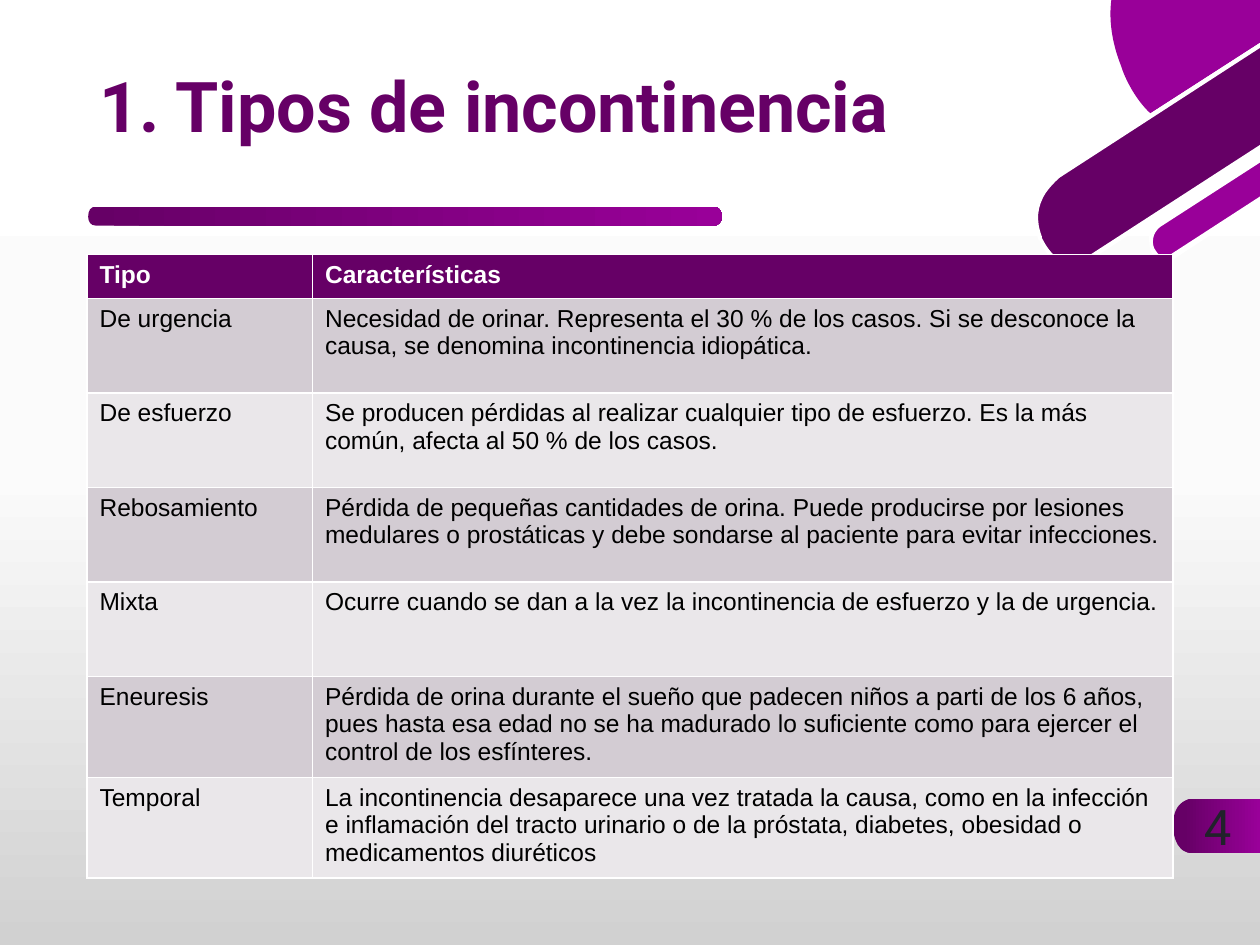
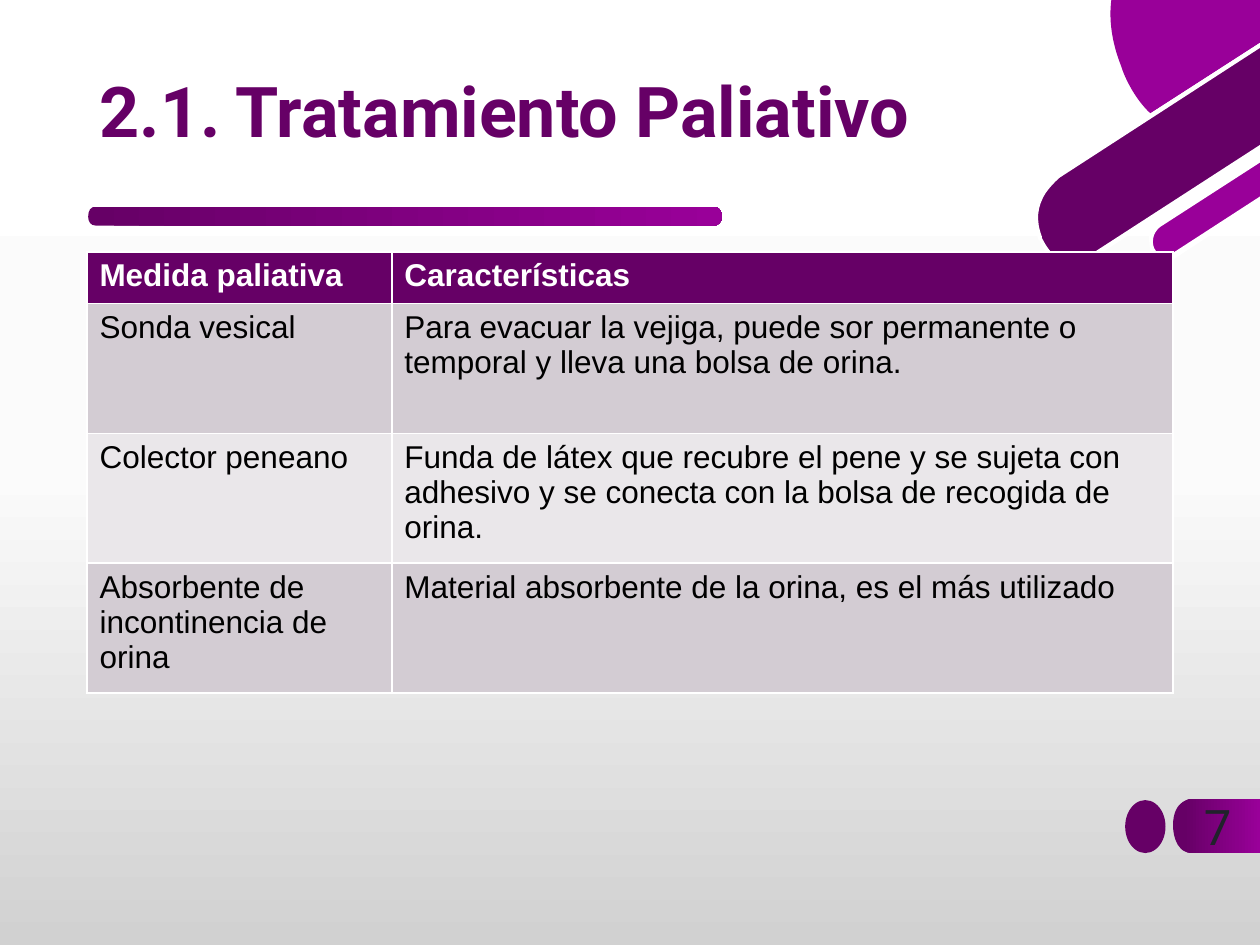
from copy import deepcopy

from lxml.etree import SubElement
from pptx import Presentation
from pptx.dml.color import RGBColor
from pptx.enum.shapes import MSO_SHAPE as SHAPE
from pptx.enum.text import MSO_ANCHOR, MSO_AUTO_SIZE, PP_ALIGN
from pptx.oxml.ns import qn
from pptx.util import Inches, Pt

COLORS = {
    "purple": "660066", "magenta": "990099", "white": "FFFFFF", "black": "000000",
    "number": "21222B", "odd": "D3CCD3", "even": "EAE7EA",
}
BACKGROUND = [(0, "FFFFFF"), (0.5, "FBFBFB"), (1, "D1D1D1")]
TITLE_FONT, TABLE_FONT = "Roboto", "Arial"
LEFT = 0.69

SLIDES = [
    {
        "title": "1. Tipos de incontinencia", "title_top": 0.36, "number": "4",
        "top": 2.02, "size": 14, "cols": [1.79, 6.83], "heights": [0.35] + [0.75] * 4 + [0.8] * 2,
        "rows": [
            ("Tipo", "Características"),
            ("De urgencia", "Necesidad de orinar. Representa el 30 % de los casos. Si se desconoce la causa, se denomina incontinencia idiopática."),
            ("De esfuerzo", "Se producen pérdidas al realizar cualquier tipo de esfuerzo. Es la más común, afecta al 50 % de los casos."),
            ("Rebosamiento", "Pérdida de pequeñas cantidades de orina. Puede producirse por lesiones medulares o prostáticas y debe sondarse al paciente para evitar infecciones."),
            ("Mixta", "Ocurre cuando se dan a la vez la incontinencia de esfuerzo y la de urgencia."),
            ("Eneuresis", "Pérdida de orina durante el sueño que padecen niños a parti de los 6 años, pues hasta esa edad no se ha madurado lo suficiente como para ejercer el control de los esfínteres."),
            ("Temporal", "La incontinencia desaparece una vez tratada la causa, como en la infección e inflamación del tracto urinario o de la próstata, diabetes, obesidad o medicamentos diuréticos"),
        ],
    },
    {
        "title": "2.1. Tratamiento Paliativo", "title_top": 0.4, "number": "7",
        "top": 2, "size": 18, "cols": [2.42, 6.2], "heights": [0.41] + [1.03] * 3,
        "rows": [
            ("Medida paliativa", "Características"),
            ("Sonda vesical", "Para evacuar la vejiga, puede sor permanente o temporal y lleva una bolsa de orina."),
            ("Colector peneano", "Funda de látex que recubre el pene y se sujeta con adhesivo y se conecta con la bolsa de recogida de orina."),
            ("Absorbente de incontinencia de orina", "Material absorbente de la orina, es el más utilizado"),
        ],
    },
]

PAGE_TAB = [(9.46, 6.77), (10, 6.77), (10, 6.34), (9.46, 6.34),
            (9.46, 6.34, 9.31, 6.34, 9.31, 6.55), (9.31, 6.56),
            (9.31, 6.56, 9.31, 6.77, 9.46, 6.77)]

TITLE_BAR = [(5.67, 1.79), (0.76, 1.79), (0.72, 1.79, 0.7, 1.76, 0.7, 1.72),
             (0.7, 1.67, 0.72, 1.64, 0.76, 1.64), (5.67, 1.64),
             (5.7, 1.64, 5.73, 1.67, 5.73, 1.72), (5.73, 1.76, 5.7, 1.79, 5.67, 1.79)]

CORNER = [
    ("white", [(9.99, 0.81), (9.79, 0.94), (9.55, 1.1, 9.33, 1.08, 9.14, 0.89),
               (9, 0.74, 8.92, 0.55, 8.92, 0.55), (8.91, 0.52), (8.84, 0.34, 8.81, 0.16, 8.83, 0),
               (8.8, 0), (8.79, 0.17, 8.81, 0.35, 8.88, 0.54), (8.89, 0.57),
               (8.9, 0.58, 8.97, 0.77, 9.12, 0.92), (9.21, 1.01, 9.33, 1.09, 9.48, 1.09),
               (9.58, 1.09, 9.69, 1.06, 9.81, 0.98), (9.99, 0.86)]),
    ("purple", [(8.41, 1.39), (8.41, 1.39, 8.13, 1.57, 8.26, 1.89), (8.26, 1.9),
                (8.26, 1.9, 8.38, 2.22, 8.65, 2.04), (10, 1.17), (10, 0.36)]),
    ("magenta", [(8.91, 0.56), (8.91, 0.56, 8.98, 0.76, 9.13, 0.9), (10, 0.34), (10, 0), (8.82, 0),
                 (8.8, 0.15, 8.82, 0.33, 8.9, 0.53)]),
    ("magenta", [(10, 1.26), (9.2, 1.78), (9.2, 1.78, 9.1, 1.85, 9.15, 1.97), (9.15, 1.98),
                 (9.15, 1.98, 9.2, 2.11, 9.3, 2.04), (10, 1.58)]),
    ("white", [(9.29, 2.02), (9.21, 2.08, 9.17, 1.98, 9.16, 1.97), (9.12, 1.86, 9.21, 1.8, 9.21, 1.8),
               (10, 1.29), (10, 1.24), (9.2, 1.76), (9.2, 1.76, 9.14, 1.8, 9.12, 1.87),
               (9.12, 1.91, 9.12, 1.95, 9.13, 1.99), (9.15, 2.03, 9.19, 2.08, 9.24, 2.08),
               (9.26, 2.08, 9.28, 2.08, 9.31, 2.06), (10, 1.61), (10, 1.56)]),
    ("white", [(8.64, 2.03), (8.39, 2.19, 8.28, 1.9, 8.27, 1.89), (8.27, 1.88),
               (8.22, 1.75, 8.23, 1.64, 8.3, 1.53), (8.35, 1.46, 8.41, 1.41, 8.41, 1.41),
               (10, 0.38), (10, 0.34), (8.4, 1.37), (8.39, 1.38, 8.26, 1.46, 8.22, 1.63),
               (8.2, 1.71, 8.21, 1.8, 8.24, 1.9), (8.25, 1.91), (8.25, 1.91, 8.33, 2.12, 8.5, 2.12),
               (8.54, 2.12, 8.6, 2.1, 8.66, 2.06), (10, 1.19), (10, 1.15)]),
]


def rgb(name):
    return RGBColor.from_string(COLORS[name])


def paint(sp, color=None, start=0):
    sp.shadow.inherit = False
    sp.line.fill.background()
    if color:
        sp.fill.solid()
        sp.fill.fore_color.rgb = rgb(color)
    else:
        sp.fill.gradient()
        sp.fill.gradient_angle = 0
        for stop, position, name in zip(sp.fill.gradient_stops, (start, 1), ("purple", "magenta")):
            stop.position = position
            stop.color.rgb = rgb(name)
    return sp


def set_background(master):
    fill = master.background.fill
    fill.gradient()
    fill.gradient_angle = 270
    stops = next(master._element.iter(qn("a:gsLst")))
    stops.append(deepcopy(stops[-1]))
    for stop, (position, color) in zip(fill.gradient_stops, BACKGROUND):
        stop.position = position
        stop.color.rgb = RGBColor.from_string(color)


def add_outline(s, path):
    first, *rest = [(Inches(segment[-2]), Inches(segment[-1])) for segment in path]
    builder = s.shapes.build_freeform(*first)
    builder.add_line_segments(rest, close=True)
    sp = builder.convert_to_shape()
    lines = list(sp._element.iter(qn("a:lnTo")))
    for line, segment in zip(lines, path[1:]):
        if len(segment) == 6:
            curve = SubElement(line.getparent(), qn("a:cubicBezTo"))
            for x, y in zip(segment[::2], segment[1::2]):
                SubElement(curve, qn("a:pt"), x=str(Inches(x) - sp.left), y=str(Inches(y) - sp.top))
            line.getparent().replace(line, curve)
    return sp


def add_decoration(master, s):
    dot = s.shapes.add_shape(SHAPE.OVAL, Inches(8.93), Inches(6.35), Inches(0.32), Inches(0.42))
    parts = [paint(dot, "purple"), paint(add_outline(s, PAGE_TAB), start=0.12)]
    parts += [paint(add_outline(s, path), color) for color, path in CORNER]
    parts.append(paint(add_outline(s, TITLE_BAR)))
    for i, sp in enumerate(parts):
        sp._element.nvSpPr.cNvPr.set("id", str(100 + i))
        master.shapes._spTree.insert(2 + i, sp._element)


def set_font(p, name, size, color, bold=False):
    p.font.name = name
    p.font.size = Pt(size)
    p.font.bold = bold
    p.font.color.rgb = rgb(color)


def add_title(s, text, top):
    sp = s.shapes.title
    sp.left, sp.top, sp.width, sp.height = (Inches(v) for v in (LEFT, top, 7.42, 1.03))
    tf = sp.text_frame
    tf.text = text
    tf.auto_size = MSO_AUTO_SIZE.NONE
    tf.vertical_anchor = MSO_ANCHOR.MIDDLE
    p = tf.paragraphs[0]
    p.alignment = PP_ALIGN.LEFT
    p.line_spacing = 0.9
    set_font(p, TITLE_FONT, 40, "purple", True)


def add_number(s, text):
    tf = s.shapes.add_textbox(Inches(9.33), Inches(6.27), Inches(0.67), Inches(0.57)).text_frame
    tf.word_wrap = True
    tf.text = text
    p = tf.paragraphs[0]
    p.alignment = PP_ALIGN.CENTER
    set_font(p, TITLE_FONT, 28, "number")


def add_table(s, data):
    rows, cols, heights = data["rows"], data["cols"], data["heights"]
    table = s.shapes.add_table(len(rows), len(cols), Inches(LEFT), Inches(data["top"]),
                               Inches(sum(cols)), Inches(sum(heights))).table
    for column, width in zip(table.columns, cols):
        column.width = Inches(width)
    for i, (texts, height) in enumerate(zip(rows, heights)):
        table.rows[i].height = Inches(height)
        header = i == 0
        fill = "purple" if header else ("even", "odd")[i % 2]
        for j, text in enumerate(texts):
            cell = table.cell(i, j)
            cell.text = text
            cell.fill.solid()
            cell.fill.fore_color.rgb = rgb(fill)
            set_font(cell.text_frame.paragraphs[0], TABLE_FONT, data["size"],
                     "white" if header else "black", header)


def main():
    prs = Presentation()
    prs.slide_width, prs.slide_height = Inches(10), Inches(7.5)
    set_background(prs.slide_master)
    for i, data in enumerate(SLIDES):
        s = prs.slides.add_slide(prs.slide_layouts[5])
        if i == 0:
            add_decoration(prs.slide_master, s)
        add_title(s, data["title"], data["title_top"])
        add_table(s, data)
        add_number(s, data["number"])
    prs.save("out.pptx")


if __name__ == "__main__":
    main()
